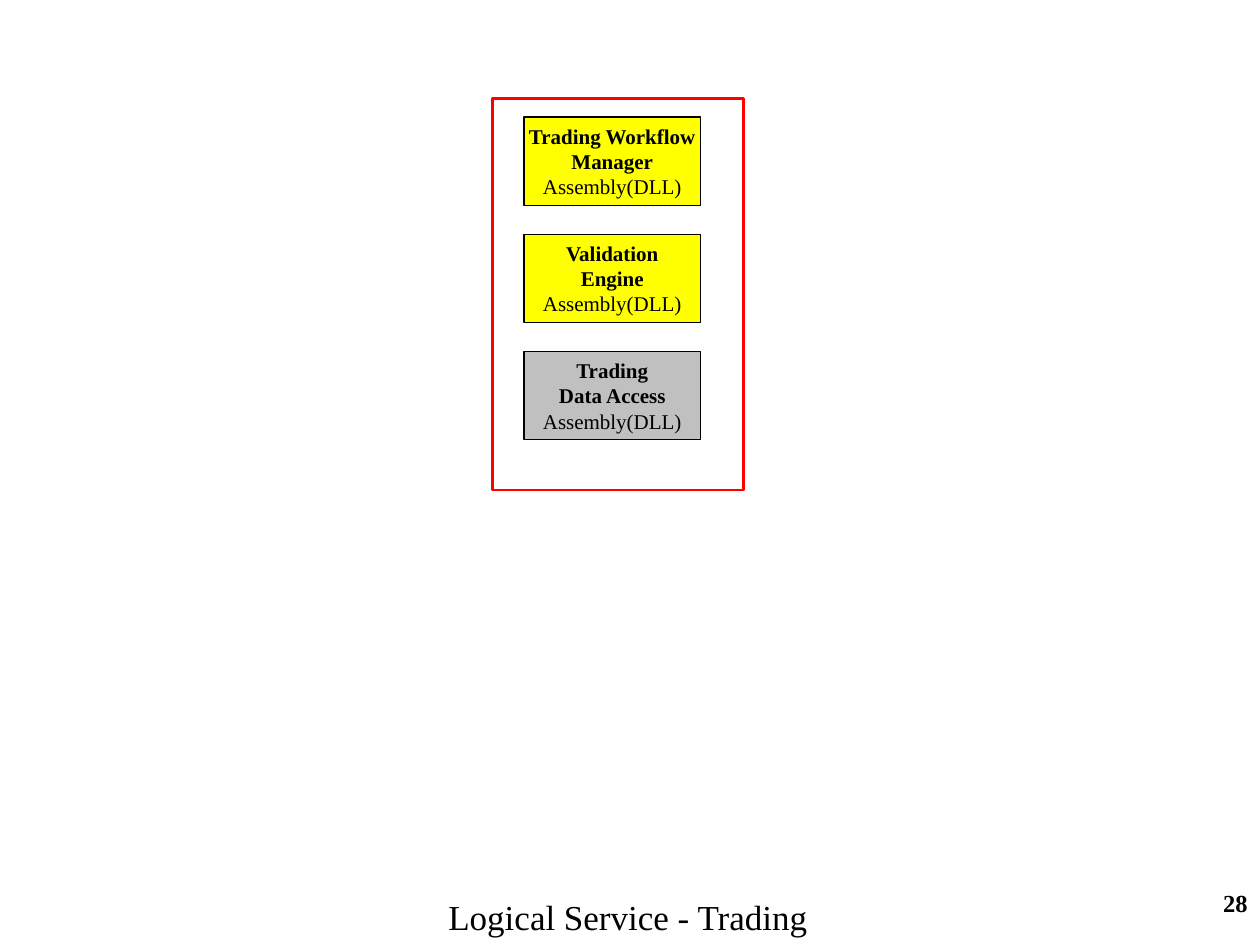
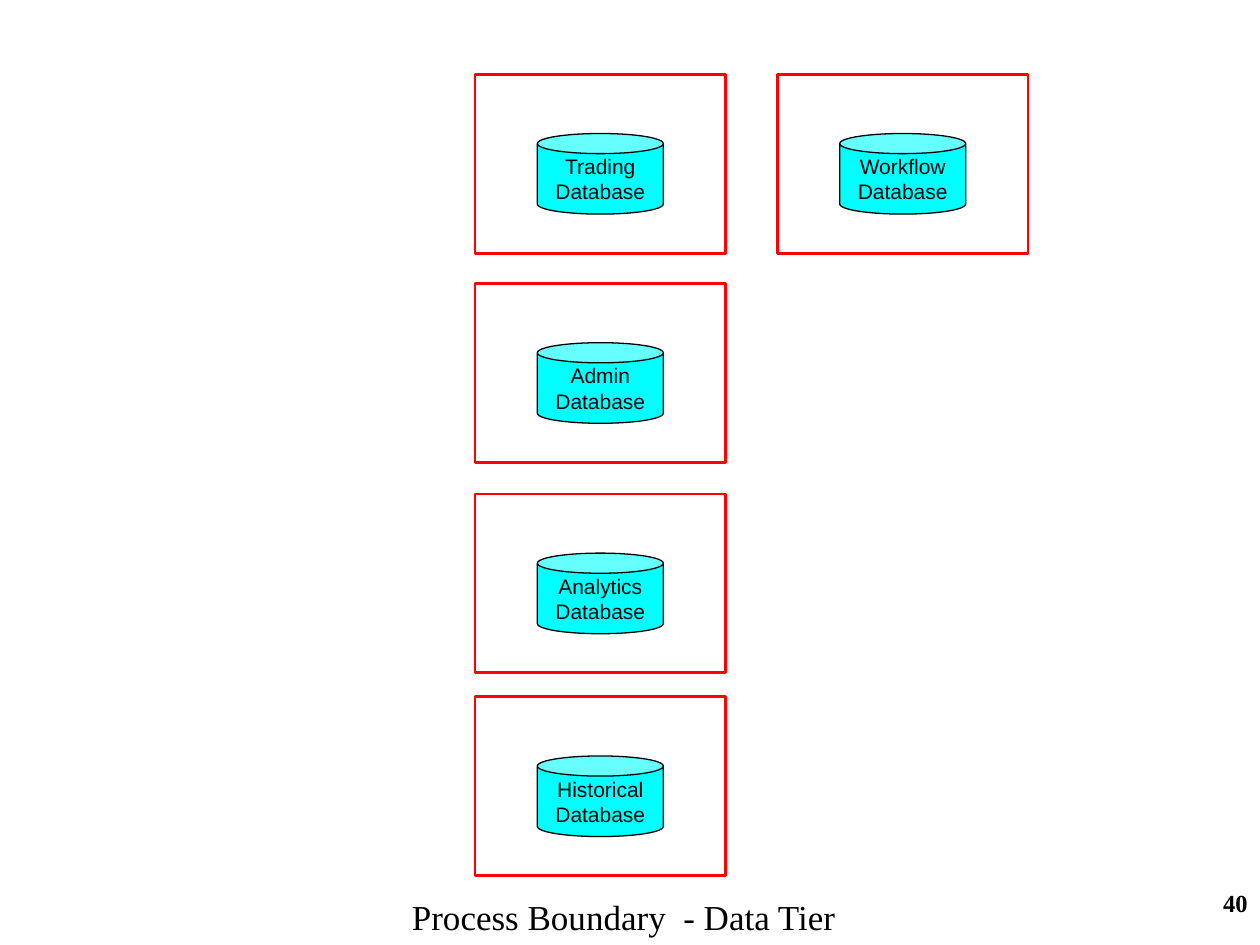
from pptx import Presentation
from pptx.dml.color import RGBColor
from pptx.enum.shapes import MSO_SHAPE
from pptx.enum.text import MSO_ANCHOR, PP_ALIGN
from pptx.util import Inches, Pt

# Content: heading (text, left, width) and page number of each slide
TRADING_HEADING = ("Logical Service - Trading", 3.46, 3.07)
TRADING_PAGE = "28"
ASSEMBLIES = [
    ("Trading Workflow\nManager", "FFFF00"),
    ("Validation\nEngine", "FFFF00"),
    ("Trading\nData Access", "C0C0C0"),
]
ASSEMBLY_KIND = "Assembly(DLL)"

DATA_HEADING = ("Process Boundary  - Data Tier", 3.17, 3.65)
DATA_PAGE = "40"
# Each row: top of its boundaries, then the databases from left to right
DATABASE_ROWS = [
    (0.59, ["Trading", "Workflow"]),
    (2.25, ["Admin"]),
    (3.92, ["Analytics"]),
    (5.53, ["Historical"]),
]

# Shared style
SERIF, SANS = "Times New Roman", "Arial"
BLACK, RED, CYAN = "000000", "FF0000", "00FFFF"
BOUNDARY_WIDTH = 1.99


def color(hex_value):
    return RGBColor.from_string(hex_value)


def write(frame, text, size, font, align, bold=False):
    frame.text = text
    for paragraph in frame.paragraphs:
        paragraph.alignment = align
        for run in paragraph.runs:
            run.font.size = Pt(size)
            run.font.name = font
            run.font.bold = bold
            run.font.color.rgb = color(BLACK)


def add_label(slide, text, left, top, width, height, size, align,
              bold=False, wrap=False):
    label = slide.shapes.add_textbox(
        Inches(left), Inches(top), Inches(width), Inches(height))
    label.text_frame.word_wrap = wrap
    write(label.text_frame, text, size, SERIF, align, bold)


def add_figure(slide, preset, left, top, width, height, line, weight, fill=None):
    figure = slide.shapes.add_shape(
        preset, Inches(left), Inches(top), Inches(width), Inches(height))
    figure.shadow.inherit = False
    figure.line.color.rgb = color(line)
    figure.line.width = Pt(weight)
    if fill:
        figure.fill.solid()
        figure.fill.fore_color.rgb = color(fill)
    else:
        figure.fill.background()
    figure.text_frame.word_wrap = False
    figure.text_frame.vertical_anchor = MSO_ANCHOR.MIDDLE
    return figure


def add_boundary(slide, left, top, height):
    add_figure(slide, MSO_SHAPE.RECTANGLE, left, top, BOUNDARY_WIDTH, height,
               RED, 1.5)


def start_slide(deck, heading, page):
    slide = deck.slides.add_slide(deck.slide_layouts[6])
    text, left, width = heading
    add_label(slide, page, 7.92, 7, 2.08, 0.5, 14, PP_ALIGN.RIGHT,
              bold=True, wrap=True)
    add_label(slide, text, left, 7.06, width, 0.44, 20, PP_ALIGN.LEFT)
    return slide


def build_trading_service(deck):
    slide = start_slide(deck, TRADING_HEADING, TRADING_PAGE)
    add_boundary(slide, 3.91, 0.78, 3.11)
    # Assemblies stacked at an equal pitch
    for row, (assembly, fill) in enumerate(ASSEMBLIES):
        box = add_figure(slide, MSO_SHAPE.RECTANGLE, 4.16, 0.93 * (row + 1),
                         1.4, 0.7, BLACK, 0.75, fill)
        write(box.text_frame, f"{assembly}\n{ASSEMBLY_KIND}", 12, SERIF,
              PP_ALIGN.CENTER, bold=True)
        box.text_frame.paragraphs[-1].runs[0].font.bold = False


def build_data_tier(deck):
    slide = start_slide(deck, DATA_HEADING, DATA_PAGE)
    # One database centred across each process boundary
    for top, databases in DATABASE_ROWS:
        for column, database in enumerate(databases):
            left = 3.77 + 2.4 * column
            can = add_figure(slide, MSO_SHAPE.CAN, left + (BOUNDARY_WIDTH - 1) / 2,
                             top + 0.47, 1, 0.64, BLACK, 0.75, CYAN)
            can.adjustments[0] = 0.25
            write(can.text_frame, f"{database}\nDatabase", 12, SANS,
                  PP_ALIGN.CENTER)
            add_boundary(slide, left, top, 1.42)


def main():
    deck = Presentation()
    deck.slide_width, deck.slide_height = Inches(10), Inches(7.5)
    build_trading_service(deck)
    build_data_tier(deck)
    deck.save("out.pptx")


if __name__ == "__main__":
    main()
